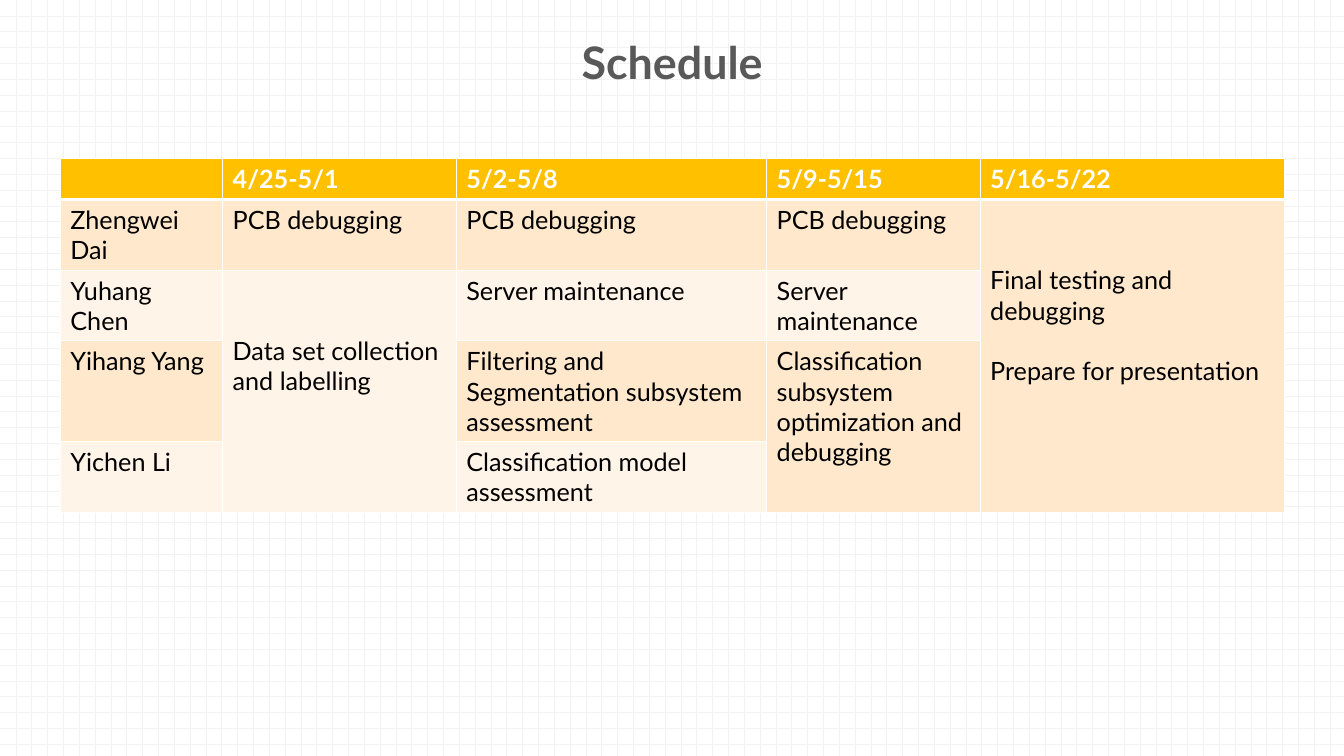
import pptx
import pptx.dml.color
import pptx.enum.dml
import pptx.enum.text
import pptx.oxml
import pptx.oxml.ns
import pptx.util

Cm = pptx.util.Cm
Pt = pptx.util.Pt
RGBColor = pptx.dml.color.RGBColor

WHITE = RGBColor(0xFF, 0xFF, 0xFF)
BLACK = RGBColor(0, 0, 0)
GRAY = RGBColor(0x59, 0x59, 0x59)
GRID_GRAY = RGBColor(0xF2, 0xF2, 0xF2)
GOLD = RGBColor(0xFF, 0xC0, 0x00)
BANDS = [RGBColor(0xFF, 0xF4, 0xE7), RGBColor(0xFF, 0xE8, 0xCC)]

COLUMN_WIDTHS = [4.09, 5.89, 7.82, 5.38, 7.67]
ROW_HEIGHTS = [1.04, 1.78, 1.78, 2.54, 1.78]
SCHEDULE = [
    ["", "4/25-5/1", "5/2-5/8", "5/9-5/15", "5/16-5/22"],
    ["Zhengwei Dai", "PCB debugging", "PCB debugging", "PCB debugging",
     "Final testing and debugging\nPrepare for presentation"],
    ["Yuhang Chen", "Data set collection and labelling", "Server maintenance",
     "Server maintenance", None],
    ["Yihang Yang", None, "Filtering and Segmentation subsystem assessment",
     "Classification subsystem optimization and debugging", None],
    ["Yichen Li", None, "Classification model assessment", None, None],
]
LOWERED_CELLS = [(1, 4), (2, 1)]


class ScheduleSlide:
    font_name = "Lato"

    def __init__(self, presentation):
        self.slide = presentation.slides.add_slide(presentation.slide_layouts[5])

    def style_paragraph(self, paragraph, size, color, bold):
        paragraph.font.name = self.font_name
        paragraph.font.size = Pt(size)
        paragraph.font.bold = bold
        paragraph.font.color.rgb = color

    def set_background(self):
        fill = self.slide.background.fill
        fill.patterned()
        fill.pattern = pptx.enum.dml.MSO_PATTERN.DOTTED_GRID
        fill.fore_color.rgb = GRID_GRAY
        fill.back_color.rgb = WHITE

    def add_title(self, text, left, top, width, height):
        title = self.slide.shapes.title
        title.left, title.top = Cm(left), Cm(top)
        title.width, title.height = Cm(width), Cm(height)
        frame = title.text_frame
        frame.text = text
        frame.auto_size = pptx.enum.text.MSO_AUTO_SIZE.NONE
        frame.vertical_anchor = pptx.enum.text.MSO_ANCHOR.MIDDLE
        paragraph = frame.paragraphs[0]
        paragraph.alignment = pptx.enum.text.PP_ALIGN.CENTER
        paragraph.line_spacing = 0.9
        self.style_paragraph(paragraph, 32, GRAY, True)

    def add_borders(self, cell, row):
        properties = cell._tc.get_or_add_tcPr()
        widths = {"L": 1, "R": 1, "T": 3 if row == 1 else 1, "B": 3 if row == 0 else 1}
        for side, width in widths.items():
            properties.append(pptx.oxml.parse_xml(
                f'<a:ln{side} {pptx.oxml.ns.nsdecls("a")} w="{Pt(width)}">'
                f'<a:solidFill><a:srgbClr val="{WHITE}"/></a:solidFill></a:ln{side}>'))

    def fill_cell(self, cell, row, text, color):
        self.add_borders(cell, row)
        cell.fill.solid()
        cell.fill.fore_color.rgb = color
        cell.text = text or ""
        for index, paragraph in enumerate(cell.text_frame.paragraphs):
            if index:
                paragraph.space_before = Pt(21.6)
            self.style_paragraph(paragraph, 18, BLACK if row else WHITE, row == 0)

    def add_table(self, rows, left, top):
        table = self.slide.shapes.add_table(
            len(rows), len(COLUMN_WIDTHS), Cm(left), Cm(top),
            Cm(sum(COLUMN_WIDTHS)), Cm(sum(ROW_HEIGHTS))).table
        table.horz_banding = False
        for column, width in zip(table.columns, COLUMN_WIDTHS):
            column.width = Cm(width)
        for row, height in zip(table.rows, ROW_HEIGHTS):
            row.height = Cm(height)
        for column in range(len(COLUMN_WIDTHS)):
            start = 0
            for row, texts in enumerate(rows):
                if texts[column] is not None:
                    start = row
                color = BANDS[start % 2] if row else GOLD
                self.fill_cell(table.cell(row, column), row, texts[column], color)
                if row + 1 == len(rows) and start < row:
                    table.cell(start, column).merge(table.cell(row, column))
        for row, column in LOWERED_CELLS:
            table.cell(row, column).margin_top = Cm(1.65)


def main():
    presentation = pptx.Presentation()
    presentation.slide_width = Cm(33.87)
    presentation.slide_height = Cm(19.05)
    schedule = ScheduleSlide(presentation)
    schedule.set_background()
    schedule.add_title("Schedule", 8.66, 0.91, 16.56, 1.47)
    schedule.add_table(SCHEDULE, 1.52, 3.99)
    presentation.save("out.pptx")


if __name__ == "__main__":
    main()
